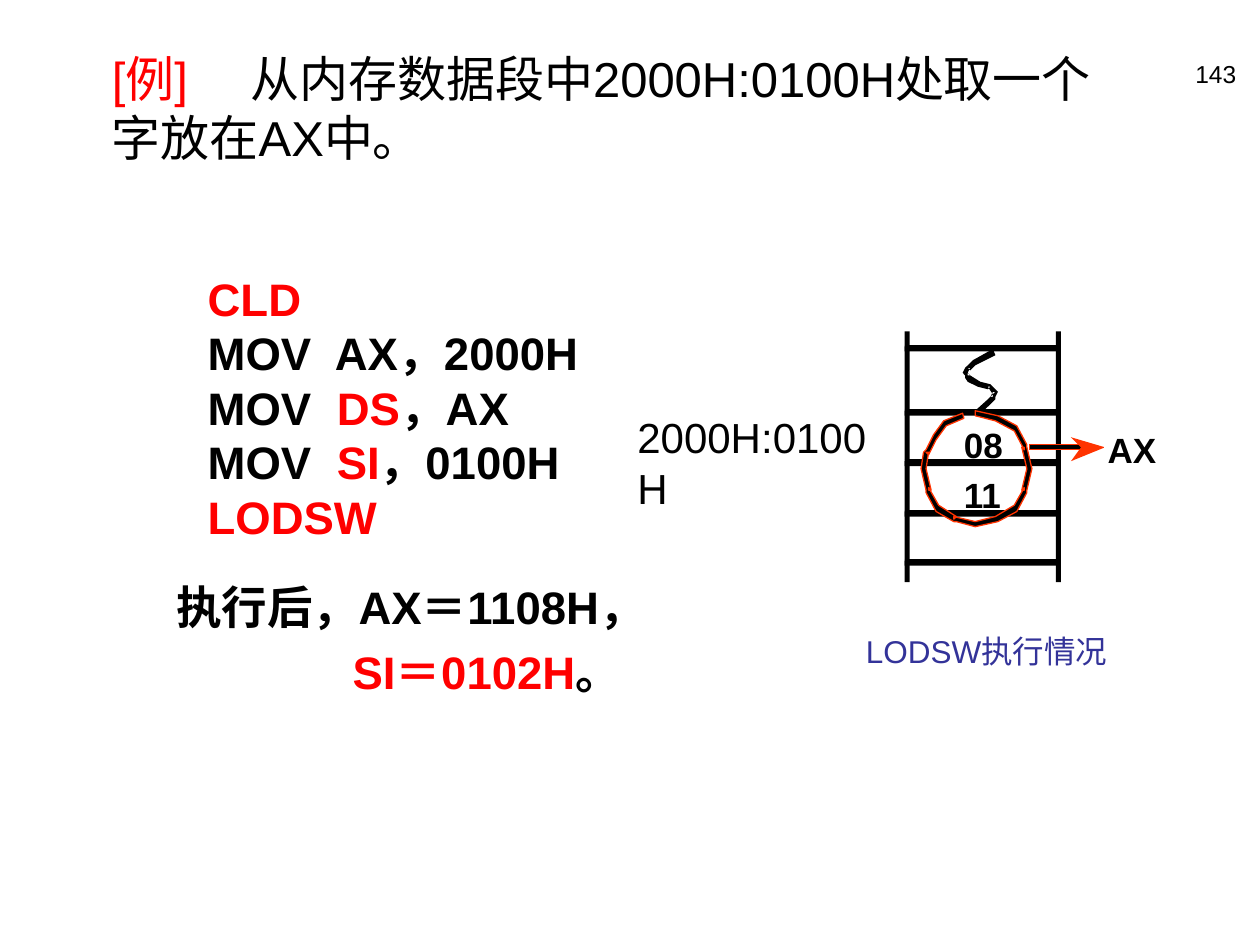
import pptx
import pptx.dml.color
import pptx.enum.shapes
import pptx.enum.text
import pptx.oxml
import pptx.util
from lxml import etree

Inches, Pt = pptx.util.Inches, pptx.util.Pt
RGBColor = pptx.dml.color.RGBColor
PP_ALIGN = pptx.enum.text.PP_ALIGN
ANCHOR = pptx.enum.text.MSO_ANCHOR
MSO_SHAPE = pptx.enum.shapes.MSO_SHAPE
NS = "http://schemas.openxmlformats.org/drawingml/2006/main"

BLACK = RGBColor(0x00, 0x00, 0x00)
WHITE = RGBColor(0xFF, 0xFF, 0xFF)
RED = RGBColor(0xFF, 0x00, 0x00)
ORANGE = RGBColor(0xFF, 0x33, 0x00)
INDIGO = RGBColor(0x33, 0x33, 0x99)

# A paragraph is a list of (text, colour) runs.
PAGE = [[("143", BLACK)]]
TITLE = [[("[例]\t", RED), ("从内存数据段中2000H:0100H处取一个字放在AX中。", BLACK)]]
CODE = [
    [("CLD", RED)],
    [("MOV  AX，2000H", BLACK)],
    [("MOV  ", BLACK), ("DS", RED), ("，AX", BLACK)],
    [("MOV  ", BLACK), ("SI", RED), ("，0100H", BLACK)],
    [("LODSW", RED)],
]
RESULT = [
    [("执行后，AX＝1108H，", BLACK)],
    [("SI＝0102H", RED), ("。", BLACK)],
]
CAPTION = [[("LODSW执行情况", INDIGO)]]
ADDRESS = [[("2000H:0100H", BLACK)]]
REGISTER = [[("AX", BLACK)]]
BYTES = [("08", 3.36), ("11", 3.76)]

# Memory column
LEFT, RIGHT, TOP, HEIGHT, BAR = 7.18, 8.38, 2.63, 1.99, 0.04
ROW_TOPS = [2.75, 3.26, 3.66, 4.06, 4.45]

SQUIGGLE = [
    (7.9, 2.82), (7.88, 2.77), (7.72, 2.86), (7.68, 2.9), (7.66, 2.92), (7.64, 2.96),
    (7.66, 2.98), (7.66, 3), (7.68, 3.03), (7.76, 3.07), (7.84, 3.09), (7.86, 3.07),
    (7.84, 3.07), (7.88, 3.13), (7.9, 3.11), (7.88, 3.11), (7.86, 3.15), (7.88, 3.15),
    (7.88, 3.13), (7.84, 3.17), (7.74, 3.26), (7.76, 3.3), (7.86, 3.21), (7.9, 3.17),
    (7.9, 3.15), (7.92, 3.11), (7.88, 3.07), (7.86, 3.05), (7.78, 3.03), (7.7, 2.98),
    (7.68, 2.96), (7.68, 2.98), (7.7, 2.98), (7.68, 2.96), (7.7, 2.92), (7.68, 2.92),
    (7.7, 2.94), (7.74, 2.9),
]
RING = [
    (7.74, 3.26), (7.74, 3.3), (7.9, 3.34), (8.05, 3.42), (8.13, 3.57), (8.13, 3.55),
    (8.11, 3.55), (8.15, 3.72), (8.11, 3.89), (8.13, 3.89), (8.13, 3.87), (8.05, 4.01),
    (7.9, 4.1), (7.74, 4.14), (7.57, 4.1), (7.57, 4.12), (7.59, 4.1), (7.45, 4.01),
    (7.37, 3.87), (7.37, 3.89), (7.39, 3.89), (7.35, 3.72), (7.37, 3.59), (7.35, 3.59),
    (7.37, 3.61), (7.43, 3.49), (7.51, 3.38), (7.65, 3.32), (7.64, 3.28), (7.49, 3.34),
    (7.41, 3.45), (7.35, 3.57), (7.33, 3.59), (7.31, 3.72), (7.35, 3.89), (7.35, 3.91),
    (7.43, 4.06), (7.57, 4.14), (7.59, 4.14), (7.74, 4.18), (7.92, 4.14), (8.07, 4.06),
    (8.15, 3.91), (8.15, 3.89), (8.19, 3.72), (8.15, 3.55), (8.15, 3.53), (8.07, 3.38),
    (7.92, 3.3),
]
ARROWHEAD = [(8.5, 3.66), (8.77, 3.55), (8.5, 3.47), (8.58, 3.55)]


def write(tf, paragraphs, size, bold=False, align=PP_ALIGN.LEFT, spacing=None, tab=None):
    for i, runs in enumerate(paragraphs):
        p = tf.paragraphs[0] if i == 0 else tf.add_paragraph()
        p.alignment = align
        if spacing:
            p.line_spacing = spacing
        if tab:
            tabs = etree.SubElement(p._p.get_or_add_pPr(), f"{{{NS}}}tabLst")
            etree.SubElement(tabs, f"{{{NS}}}tab", pos=str(Inches(tab)), algn="l")
        for text, color in runs:
            r = p.add_run()
            r.text = text
            r.font.name, r.font.size, r.font.bold = "Arial", Pt(size), bold
            r.font.color.rgb = color


def add_text(at, paragraphs, size, wrap=True, inset=True, anchor=ANCHOR.TOP, **style):
    tf = s.shapes.add_textbox(*map(Inches, at)).text_frame
    tf.word_wrap = wrap
    tf.vertical_anchor = anchor
    if not inset:
        tf.margin_left = tf.margin_right = tf.margin_top = tf.margin_bottom = 0
    write(tf, paragraphs, size, **style)
    return tf


def paint(sp, fill, line=None, width=0.75):
    sp.shadow.inherit = False
    sp.fill.solid()
    sp.fill.fore_color.rgb = fill
    if line is None:
        sp.line.fill.background()
    else:
        sp.line.color.rgb = line
        sp.line.width = Pt(width)


def add_rect(shapes, at, fill, line=None, width=0.75):
    paint(shapes.add_shape(MSO_SHAPE.RECTANGLE, *map(Inches, at)), fill, line, width)


def add_outline(shapes, points, fill, line=None):
    start, *rest = [(Inches(x), Inches(y)) for x, y in points]
    builder = shapes.build_freeform(*start)
    builder.add_line_segments(rest, close=True)
    paint(builder.convert_to_shape(), fill, line)


def add_hairline(y):
    c = s.shapes.add_connector(pptx.enum.shapes.MSO_CONNECTOR.STRAIGHT,
                               Inches(LEFT), Inches(y), Inches(RIGHT), Inches(y))
    c.line.color.rgb = BLACK
    c.line.width = 0
    etree.SubElement(c._element.spPr, f"{{{NS}}}effectLst")


prs = pptx.Presentation()
prs.slide_width, prs.slide_height = Inches(10), Inches(7.5)
s = prs.slides.add_slide(prs.slide_layouts[6])

add_text((7.83, 0.42, 2.08, 0.5), PAGE, 14, align=PP_ALIGN.RIGHT)
add_text((0.79, 0.33, 8.35, 1.04), TITLE, 28, anchor=ANCHOR.MIDDLE, tab=1.1)

frame = s.shapes.add_table(1, 1, Inches(6.02), Inches(4.85), Inches(3.62), Inches(0.46))
table = frame.table
table.first_row = table.horz_banding = False
cell = table.cell(0, 0)
cell.fill.background()
write(cell.text_frame, CAPTION, 18, align=PP_ALIGN.CENTER, spacing=1.2)

add_text((1.55, 2.1, 3.5, 2.3), CODE, 26, bold=True)

for y in ROW_TOPS:
    add_rect(s.shapes, (LEFT, y, RIGHT - LEFT, BAR), BLACK)
    add_hairline(y)
for x in (LEFT, RIGHT):
    add_rect(s.shapes, (x, TOP, BAR, HEIGHT), BLACK)
for value, y in BYTES:
    add_text((7.65, y, 0.31, 0.33), [[(value, BLACK)]], 20, wrap=False, inset=False, bold=True)

add_outline(s.shapes, SQUIGGLE, BLACK)
add_outline(s.shapes, RING, BLACK, ORANGE)

arrow = s.shapes.add_group_shape()
add_rect(arrow.shapes, (8.17, 3.53, 0.45, 0.04), BLACK, ORANGE)
add_outline(arrow.shapes, ARROWHEAD, ORANGE)

add_rect(s.shapes, (8.77, 3.3, 0.43, 0.46), WHITE, WHITE, 1.39)
add_text((8.79, 3.4, 0.39, 0.33), REGISTER, 20, wrap=False, inset=False, bold=True)

result = add_text((1.3, 4.46, 4.25, 1.14), RESULT, 26, bold=True, spacing=1.2)
result.paragraphs[1]._p.get_or_add_pPr().set("marL", str(Inches(1.4)))
add_text((4.96, 3.22, 2.25, 0.5), ADDRESS, 24, wrap=False)

prs.save("out.pptx")
